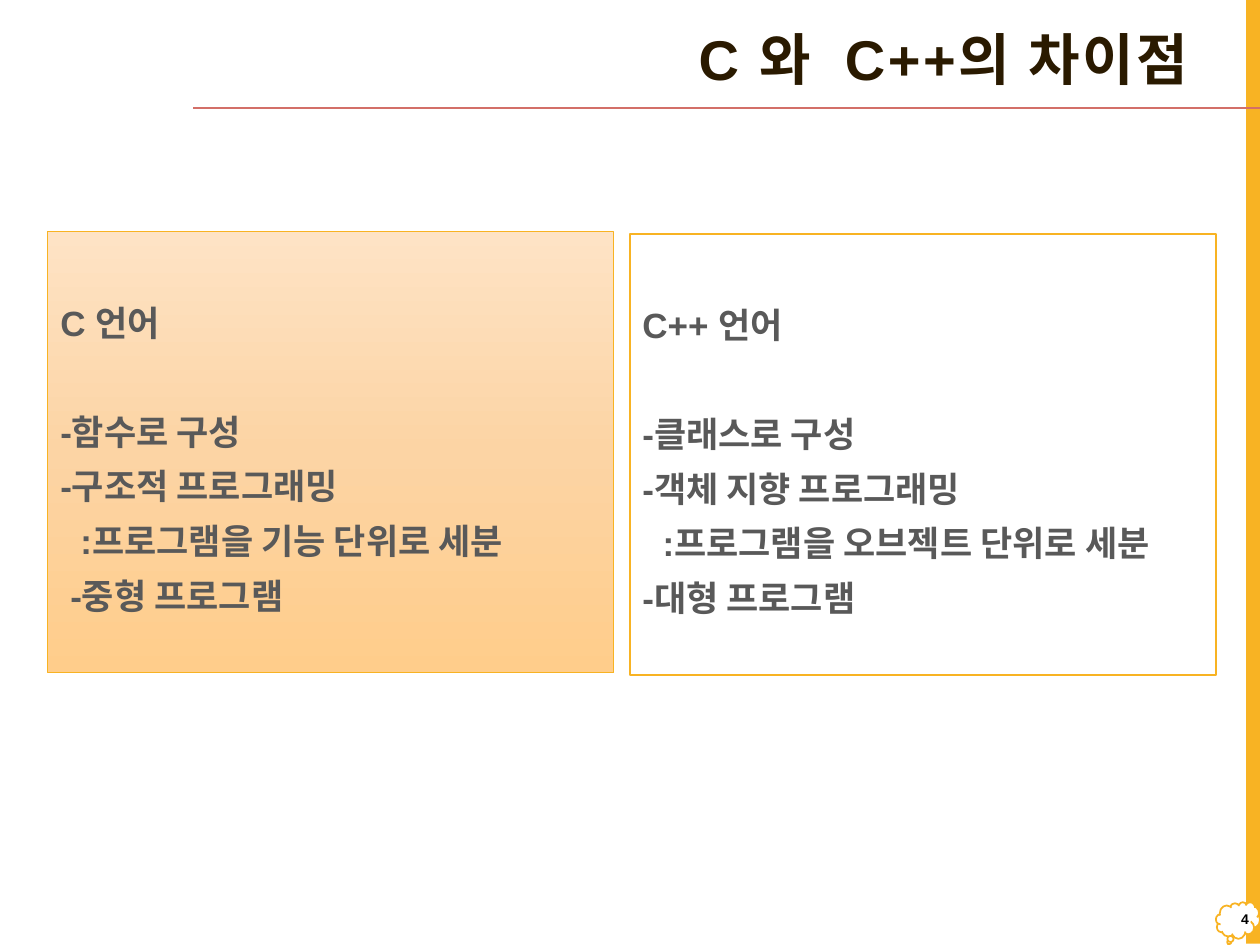
from copy import deepcopy

from lxml import etree
from pptx import Presentation
from pptx import util as u
from pptx.dml.color import RGBColor
from pptx.enum import shapes, text
from pptx.oxml.ns import qn

AMBER = RGBColor(0xF8, 0xB3, 0x23)
ROSE = RGBColor(0xD3, 0x6F, 0x68)
BROWN = RGBColor(0x2A, 0x1A, 0x00)
GRAY = RGBColor(0x59, 0x59, 0x59)
BLACK = RGBColor(0x00, 0x00, 0x00)
WHITE = RGBColor(0xFF, 0xFF, 0xFF)
PEACH = [RGBColor(0xFE, 0xE3, 0xC5), RGBColor(0xFC, 0xD4, 0xA4),
         RGBColor(0xFF, 0xCD, 0x8B)]


class Deck:
    font = {"name": "Arial", "bold": True}

    def __init__(self, width, height):
        self.prs = Presentation()
        self.prs.slide_width = u.Inches(width)
        self.prs.slide_height = u.Inches(height)
        self.s = self.prs.slides.add_slide(self.prs.slide_layouts[6])

    def shape(self, kind, box, fill, line=None, width=1):
        sp = self.s.shapes.add_shape(kind, *map(u.Inches, box))
        sp.shadow.inherit = False
        if isinstance(fill, list):
            self.gradient(sp.fill, fill)
        else:
            sp.fill.solid()
            sp.fill.fore_color.rgb = fill
        if line is None:
            sp.line.fill.background()
        else:
            sp.line.color.rgb = line
            sp.line.width = u.Pt(width)
        return sp

    def gradient(self, fill, colors):
        """Top-to-bottom gradient with three even stops."""
        fill.gradient()
        fill.gradient_angle = 270
        first = fill.gradient_stops[0]._gs
        first.addnext(deepcopy(first))
        for i, (stop, color) in enumerate(zip(fill.gradient_stops, colors)):
            stop.position = i / (len(colors) - 1)
            stop.color.rgb = color

    def line(self, start, end, color, width=1):
        c = self.s.shapes.add_connector(
            shapes.MSO_CONNECTOR.STRAIGHT, *map(u.Inches, start + end))
        c.line.color.rgb = color
        c.line.width = u.Pt(width)
        etree.SubElement(c._element.spPr, qn("a:effectLst"))

    def textbox(self, box):
        return self.s.shapes.add_textbox(*map(u.Inches, box))

    def add_lines(self, sp, lines, size, color, align, spacing=1.0, tracking=0):
        """Each line is (text, indent in inches, space before in points)."""
        tf = sp.text_frame
        tf.word_wrap = True
        tf.vertical_anchor = text.MSO_ANCHOR.MIDDLE
        style = {**self.font, "size": u.Pt(size)}
        for i, (words, indent, before) in enumerate(lines):
            p = tf.add_paragraph() if i else tf.paragraphs[0]
            p.alignment = align
            p.line_spacing = spacing
            if indent:
                p._p.get_or_add_pPr().set("marL", str(u.Inches(indent)))
            if before:
                p.space_before = u.Pt(before)
            r = p.add_run()
            r.text = words
            for key, value in style.items():
                setattr(r.font, key, value)
            r.font.color.rgb = color
            if tracking:
                r._r.get_or_add_rPr().set("spc", str(int(tracking * 100)))
        return tf


def main():
    deck = Deck(10, 7.5)
    shape = shapes.MSO_SHAPE
    left, right = text.PP_ALIGN.LEFT, text.PP_ALIGN.RIGHT

    # Side band, number cloud and title rule
    deck.shape(shape.RECTANGLE, (9.89, -0.01, 0.11, 7.5), AMBER)
    deck.shape(shape.CLOUD_CALLOUT, (9.65, 7.16, 0.35, 0.29), WHITE, AMBER)
    deck.line((10, 0.86), (1.53, 0.86), ROSE)

    # Title and slide number
    title = deck.textbox((1.32, 0.13, 8.37, 0.73))
    tf = deck.add_lines(title, [("C 와  C++의 차이점", 0, 0)], 32, BROWN, right,
                        0.9, 1.5)
    tf.margin_right = u.Inches(0.26)
    number = deck.textbox((9.66, 7.12, 0.35, 0.35))
    deck.add_lines(number, [("4", 0, 0)], 8, BLACK, right)

    # Comparison panels
    gap, step = 31, 0.08
    panels = [
        ((0.38, 1.84, 4.49, 3.5), PEACH, 0.5, [
            ("C 언어", 0, 0),
            ("-함수로 구성", 0, gap),
            ("-구조적 프로그래밍", 0, 0),
            (":프로그램을 기능 단위로 세분", 2 * step, 0),
            ("-중형 프로그램", step, 0)]),
        ((5, 1.86, 4.65, 3.5), WHITE, 1, [
            ("C++ 언어", 0, 0),
            ("-클래스로 구성", 0, gap),
            ("-객체 지향 프로그래밍", 0, 0),
            (":프로그램을 오브젝트 단위로 세분", 2 * step, 0),
            ("-대형 프로그램", 0, 0)]),
    ]
    for box, fill, width, lines in panels:
        sp = deck.shape(shape.RECTANGLE, box, fill, AMBER, width)
        deck.add_lines(sp, lines, 20, GRAY, left, 1.3)

    deck.prs.save("out.pptx")


if __name__ == "__main__":
    main()
